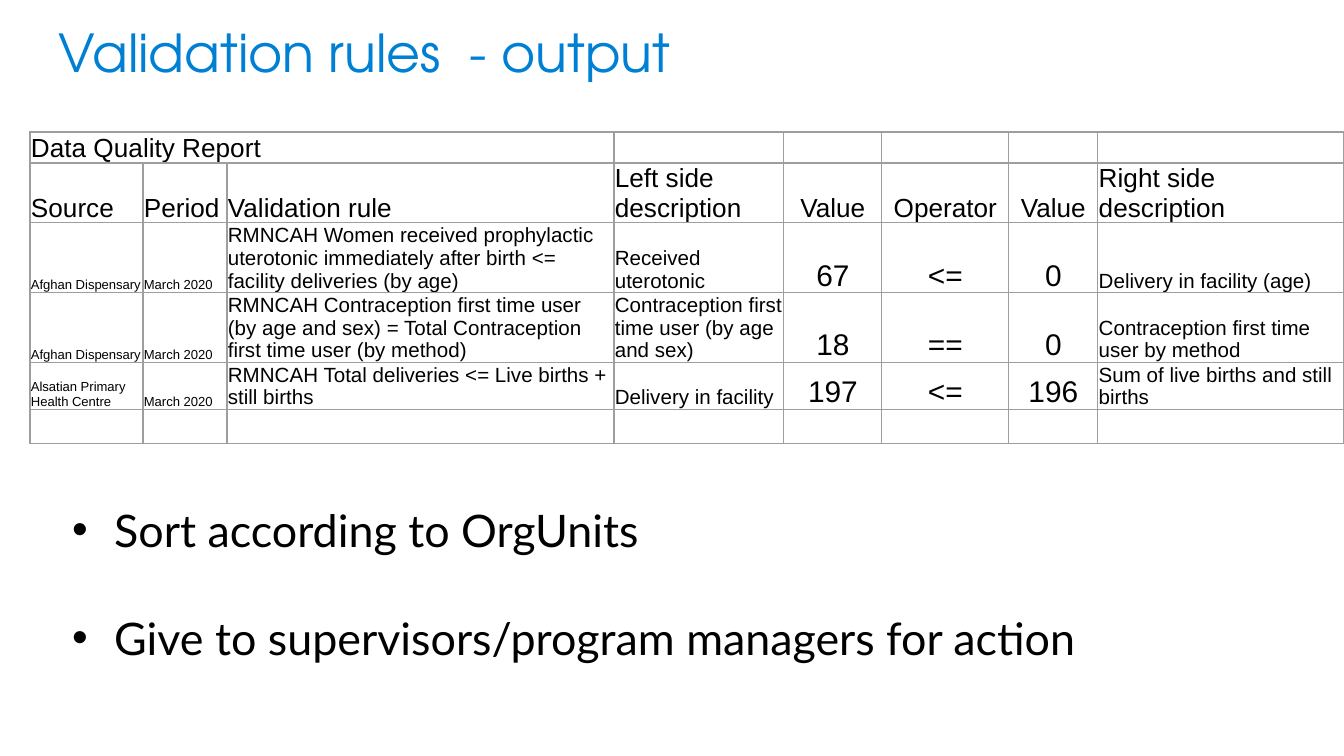
from lxml.etree import SubElement
from pptx import Presentation
from pptx.dml.color import RGBColor
from pptx.enum.text import MSO_ANCHOR, MSO_AUTO_SIZE, PP_ALIGN
from pptx.oxml.ns import qn
from pptx.util import Emu, Pt

TITLE = "Validation rules  - output"
COLUMN_WIDTHS = [113, 84, 387, 170, 98, 127, 89, 246]
ROW_HEIGHTS = [31, 59, 70, 69, 47, 34]
ROWS = [
    ["Data Quality Report"] + [""] * 7,
    ["Source", "Period", "Validation rule", "Left side description",
     "Value", "Operator", "Value", "Right side description"],
    ["Afghan Dispensary", "March 2020",
     "RMNCAH Women received prophylactic uterotonic immediately after birth <= facility deliveries (by age)",
     "Received uterotonic", "67", "<=", "0", "Delivery in facility (age)"],
    ["Afghan Dispensary", "March 2020",
     "RMNCAH Contraception first time user (by age and sex) = Total Contraception first time user (by method)",
     "Contraception first time user (by age and sex)", "18", "==", "0",
     "Contraception first time user by method"],
    ["Alsatian Primary Health Centre", "March 2020",
     "RMNCAH Total deliveries <= Live births + still births",
     "Delivery in facility", "197", "<=", "196", "Sum of live births and still births"],
    [""] * 8,
]
HEADER_SIZE = 14
BODY_SIZES = [7, 7, 11, 11, 16, 16, 16, 11]
CENTERED_COLUMNS = range(4, 7)
BULLETS = ["Sort according to OrgUnits", "Give to supervisors/program managers for action"]


def px(length):
    return Emu(round(length * 914400 / 134.4))


def color(value):
    return RGBColor.from_string(value)


def set_font(paragraph, name, size, value):
    font = paragraph.font
    font.name = name
    font.size = Pt(size)
    font.color.rgb = color(value)


def place(shape, left, top, width, height):
    shape.left, shape.top = px(left), px(top)
    shape.width, shape.height = px(width), px(height)


def set_borders(cell, value, points):
    properties = cell._tc.get_or_add_tcPr()
    for index, side in enumerate(("a:lnL", "a:lnR", "a:lnT", "a:lnB")):
        line = properties.makeelement(qn(side), {"w": str(Pt(points))})
        fill = SubElement(line, qn("a:solidFill"))
        SubElement(fill, qn("a:srgbClr"), val=value)
        properties.insert(index, line)


def add_title(slide):
    title = slide.shapes.title
    place(title, 46, 9, 1252, 85)
    frame = title.text_frame
    frame.text = TITLE
    frame.auto_size = MSO_AUTO_SIZE.NONE
    frame.vertical_anchor = MSO_ANCHOR.MIDDLE
    frame.margin_left = frame.margin_right = frame.margin_top = frame.margin_bottom = px(13)
    paragraph = frame.paragraphs[0]
    paragraph.alignment = PP_ALIGN.LEFT
    set_font(paragraph, "TeX Gyre Adventor", 28, "0080D4")


def add_report(slide):
    table = slide.shapes.add_table(
        len(ROWS), len(COLUMN_WIDTHS), px(30), px(132),
        px(sum(COLUMN_WIDTHS)), px(sum(ROW_HEIGHTS))).table
    table.first_row = table.horz_banding = False
    for column, width in zip(table.columns, COLUMN_WIDTHS):
        column.width = px(width)
    for row, height in zip(table.rows, ROW_HEIGHTS):
        row.height = px(height)
    for row_index, texts in enumerate(ROWS):
        for column_index, text in enumerate(texts):
            cell = table.cell(row_index, column_index)
            cell.text = text
            cell.fill.background()
            cell.vertical_anchor = MSO_ANCHOR.BOTTOM
            cell.margin_left = cell.margin_right = cell.margin_top = px(1)
            cell.margin_bottom = 0
            set_borders(cell, "9E9E9E", 0.75)
            paragraph = cell.text_frame.paragraphs[0]
            is_body = 2 <= row_index < len(ROWS) - 1
            size = BODY_SIZES[column_index] if is_body else HEADER_SIZE
            set_font(paragraph, "Arial", size, "000000")
            if column_index in CENTERED_COLUMNS:
                paragraph.alignment = PP_ALIGN.CENTER
    table.cell(0, 0).merge(table.cell(0, 2))


def add_bullets(slide):
    box = slide.shapes.add_textbox(px(59), px(496), px(1262), px(176))
    frame = box.text_frame
    frame.word_wrap = True
    frame.text = "\n".join(BULLETS)
    for index, paragraph in enumerate(frame.paragraphs):
        set_font(paragraph, "Lato", 24, "000000")
        if index:
            paragraph.space_before = Pt(29)
        properties = paragraph._p.get_or_add_pPr()
        properties.set("marL", str(px(42)))
        properties.set("indent", str(-px(42)))
        bullet_font = properties.makeelement(qn("a:buFont"), {"typeface": "Arial"})
        bullet = properties.makeelement(qn("a:buChar"), {"char": "•"})
        defaults = properties.find(qn("a:defRPr"))
        defaults.addprevious(bullet_font)
        defaults.addprevious(bullet)


def main():
    presentation = Presentation()
    presentation.slide_width, presentation.slide_height = px(1344), px(756)
    slide = presentation.slides.add_slide(presentation.slide_layouts[5])
    add_title(slide)
    add_report(slide)
    add_bullets(slide)
    presentation.save("out.pptx")


if __name__ == "__main__":
    main()
